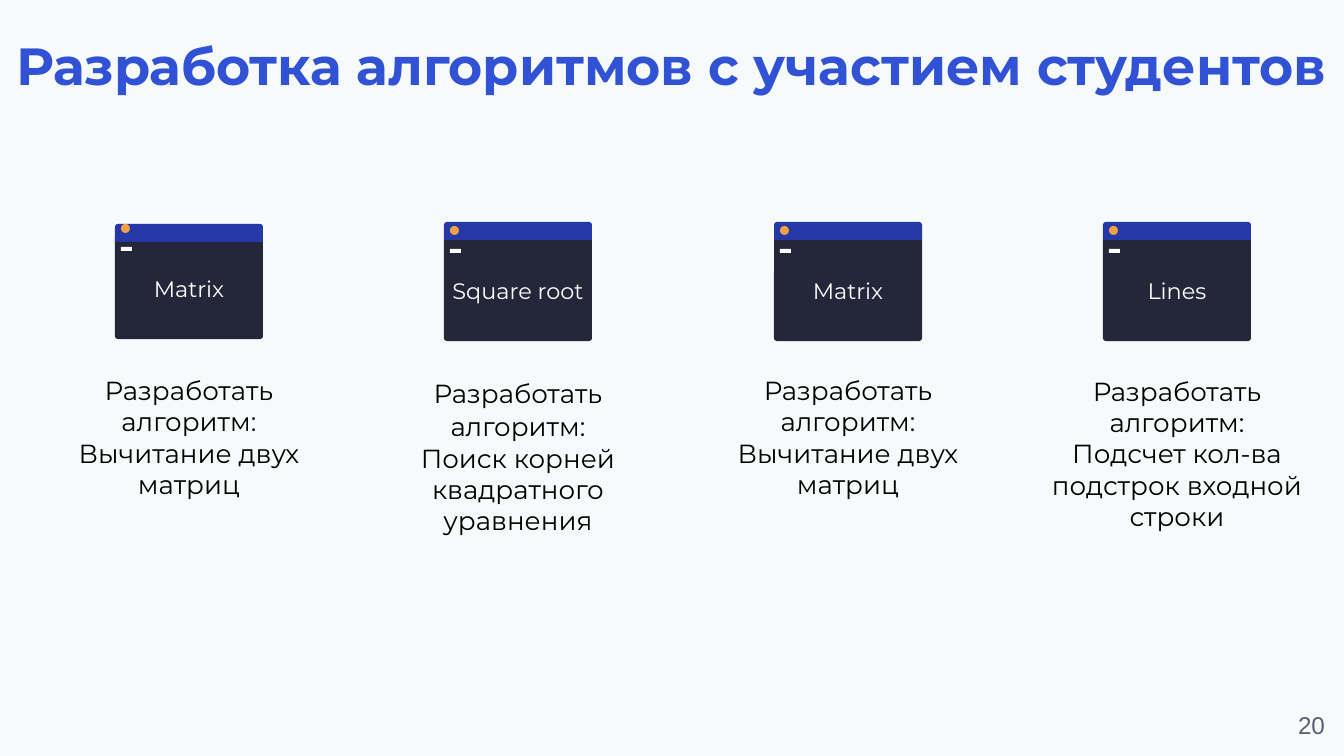
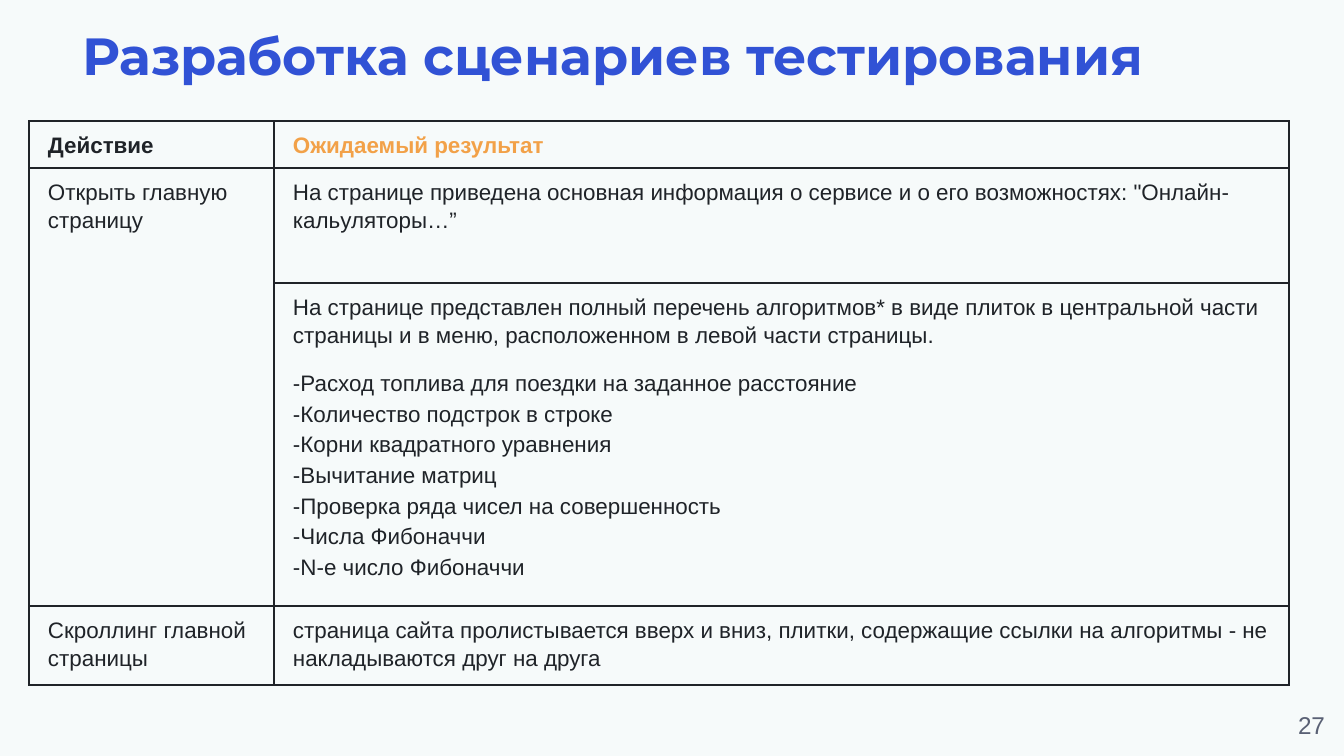
from copy import deepcopy
from dataclasses import dataclass

from lxml.etree import SubElement
from pptx import Presentation
from pptx.dml.color import RGBColor
from pptx.enum.shapes import MSO_SHAPE
from pptx.enum.text import MSO_ANCHOR, MSO_AUTO_SIZE, PP_ALIGN
from pptx.oxml.ns import qn
from pptx.util import Emu, Pt


@dataclass(frozen=True)
class Theme:
    background: str = "F6FAFA"
    title: str = "3152D5"
    window: str = "24263A"
    window_bar: str = "2638A6"
    accent: str = "F2A148"
    light: str = "FFFFFF"
    caption: str = "000000"
    table: str = "1F2328"
    number: str = "596074"
    display_font: str = "Montserrat"
    text_font: str = "Arial"
    title_size: int = 28
    caption_size: int = 14
    label_size: int = 12
    table_size: int = 12
    number_size: int = 13
    border_width: float = 0.75


THEME = Theme()

# Content
ALGORITHMS = {
    "title": "Разработка алгоритмов с участием студентов",
    "title_box": (8, 30, 1326, 69),
    "align": PP_ALIGN.CENTER,
    "number": "20",
}
# label, bar top, body top, caption runs, caption (top, width, height)
WINDOWS = [
    ("Matrix", 224, 238, ["Разработать алгоритм:\nВычитание двух матриц"],
     (371, 306, 132)),
    ("Square root", 222, 240,
     ["Разработать", " ", "алгоритм:\nПоиск корней квадратного уравнения"],
     (367, 321, 172)),
    ("Matrix", 222, 240, ["Разработать алгоритм: Вычитание двух матриц"],
     (371, 286, 132)),
    ("Lines", 222, 240,
     ["Разработать алгоритм:\nПодсчет кол-ва подстрок входной строки"],
     (371, 261, 164)),
]
SCENARIOS = {
    "title": "Разработка сценариев тестирования",
    "title_box": (78, 20, 1188, 69),
    "align": PP_ALIGN.LEFT,
    "number": "27",
}
ROWS = [
    (["Действие"], ["Ожидаемый результат"]),
    (["Открыть главную страницу"],
     ["На странице приведена основная информация о сервисе и о его "
      "возможностях: \"Онлайн-кальуляторы…”"]),
    ([],
     ["На странице представлен полный перечень алгоритмов* в виде плиток в "
      "центральной части страницы и в меню, расположенном в левой части страницы.",
      "-Расход топлива для поездки на заданное расстояние",
      "-Количество подстрок в строке",
      "-Корни квадратного уравнения",
      "-Вычитание матриц",
      "-Проверка ряда чисел на совершенность",
      "-Числа Фибоначчи",
      "-N-е число Фибоначчи"]),
    (["Скроллинг главной страницы"],
     ["страница сайта пролистывается вверх и вниз, плитки, содержащие ссылки "
      "на алгоритмы - не накладываются друг на друга"]),
]

# Layout, in px
SLIDE_SIZE = (1344, 756)
NUMBER_BOX = (1258, 697, 80, 58)
FIRST_WINDOW, LAST_WINDOW = 115, 1103
WINDOW_WIDTH, BODY_HEIGHT, BAR_HEIGHT, CORNER = 148, 101, 18, 3
TABLE_AT = (29, 121)
COLUMN_WIDTHS = (245, 1015)
ROW_HEIGHTS = (47, 115, 323, 79)
TIGHT, ROOMY, CELL = (5, 3), (13, 13), (19, 8)


def px(value):
    return Emu(round(value * 914400 / 134.4))


def box(*values):
    return [px(value) for value in values]


def assign(target, values):
    for name, value in values.items():
        setattr(target, name, value)


def margins(inset):
    across, down = box(*inset)
    return {"margin_left": across, "margin_right": across,
            "margin_top": down, "margin_bottom": down}


def style(font, name, size, color, bold=False):
    assign(font, {"name": name, "size": Pt(size), "bold": bold})
    font.color.rgb = RGBColor.from_string(color)


def set_frame(shape, inset, anchor, auto_size):
    assign(shape.text_frame, {
        **margins(inset), "word_wrap": True,
        "vertical_anchor": anchor, "auto_size": auto_size})
    return shape.text_frame.paragraphs[0]


def add_text(paragraph, text, *font):
    """Add runs in one format, with a line break at each newline."""
    for index, line in enumerate(text.split("\n")):
        if index:
            paragraph.add_line_break()
        run = paragraph.add_run()
        run.text = line
        style(run.font, *font)
    for line_break in paragraph._p.findall(qn("a:br")):
        line_break.insert(0, deepcopy(run._r.rPr))


def add_box(shapes, place, inset=TIGHT, anchor=MSO_ANCHOR.TOP,
            align=PP_ALIGN.CENTER, auto_size=MSO_AUTO_SIZE.SHAPE_TO_FIT_TEXT):
    paragraph = set_frame(shapes.add_textbox(*box(*place)), inset, anchor, auto_size)
    paragraph.alignment = align
    return paragraph


def add_slide(presentation, content):
    """Add a slide with the shared title and page number."""
    slide = presentation.slides.add_slide(presentation.slide_layouts[5])
    title = slide.shapes.title
    assign(title, dict(zip(("left", "top", "width", "height"),
                           box(*content["title_box"]))))
    paragraph = set_frame(title, TIGHT, MSO_ANCHOR.BOTTOM,
                          MSO_AUTO_SIZE.SHAPE_TO_FIT_TEXT)
    paragraph.alignment = content["align"]
    add_text(paragraph, content["title"], THEME.display_font, THEME.title_size,
             THEME.title, True)
    number = add_box(slide.shapes, NUMBER_BOX, ROOMY, align=PP_ALIGN.RIGHT,
                     auto_size=MSO_AUTO_SIZE.NONE)
    add_text(number, content["number"], THEME.text_font, THEME.number_size,
             THEME.number)
    return slide


def add_window(slide, left, label, bar_top, body_top):
    shapes = slide.shapes.add_group_shape().shapes
    rounded = MSO_SHAPE.ROUND_2_SAME_RECTANGLE
    parts = [
        (rounded, (left, body_top, WINDOW_WIDTH, BODY_HEIGHT), THEME.window,
         (0, CORNER / BODY_HEIGHT)),
        (rounded, (left, bar_top, WINDOW_WIDTH, BAR_HEIGHT), THEME.window_bar,
         (CORNER / BAR_HEIGHT, 0)),
        (MSO_SHAPE.OVAL, (left + 6, body_top - 14, 9, 9), THEME.accent, ()),
        (MSO_SHAPE.RECTANGLE, (left + 6, body_top + 9, 11, 4), THEME.light, ()),
    ]
    for kind, place, color, corners in parts:
        shape = shapes.add_shape(kind, *box(*place))
        shape.shadow.inherit = False
        shape.fill.solid()
        shape.fill.fore_color.rgb = RGBColor.from_string(color)
        shape.line.fill.background()
        for index, corner in enumerate(corners):
            shape.adjustments[index] = corner
    paragraph = add_box(shapes, (left, body_top + 34, WINDOW_WIDTH, 32))
    add_text(paragraph, label, THEME.display_font, THEME.label_size, THEME.light)


def build_algorithms(presentation):
    slide = add_slide(presentation, ALGORITHMS)
    step = (LAST_WINDOW - FIRST_WINDOW) / (len(WINDOWS) - 1)
    for index, (label, bar_top, body_top, runs, caption) in enumerate(WINDOWS):
        left = round(FIRST_WINDOW + index * step)
        add_window(slide, left, label, bar_top, body_top)
        top, width, height = caption
        caption_left = left + (WINDOW_WIDTH - width) / 2
        paragraph = add_box(slide.shapes, (caption_left, top, width, height),
                            anchor=MSO_ANCHOR.BOTTOM)
        for text in runs:
            font = ((THEME.text_font, 18) if text == " "
                    else (THEME.display_font, THEME.caption_size))
            add_text(paragraph, text, *font, THEME.caption)


def set_borders(cell):
    properties = cell._tc.get_or_add_tcPr()
    for side in ("a:lnL", "a:lnR", "a:lnT", "a:lnB"):
        line = SubElement(properties, qn(side), w=str(Pt(THEME.border_width)))
        fill = SubElement(line, qn("a:solidFill"))
        SubElement(fill, qn("a:srgbClr"), val=THEME.table)


def fill_cell(cell, lines, color, bold):
    set_borders(cell)
    cell.fill.background()
    assign(cell, {**margins(CELL), "vertical_anchor": MSO_ANCHOR.TOP})
    for index, text in enumerate(lines):
        frame = cell.text_frame
        paragraph = frame.add_paragraph() if index else frame.paragraphs[0]
        if index:
            paragraph.space_before = Pt(12 if index == 1 else 3)
            if index == len(lines) - 1:
                paragraph.space_after = Pt(3)
        else:
            paragraph.line_spacing = 1.15
        add_text(paragraph, text, THEME.text_font, THEME.table_size, color, bold)


def build_scenarios(presentation):
    slide = add_slide(presentation, SCENARIOS)
    size = (sum(COLUMN_WIDTHS), sum(ROW_HEIGHTS))
    table = slide.shapes.add_table(len(ROWS), len(COLUMN_WIDTHS),
                                   *box(*TABLE_AT, *size)).table
    assign(table, {"first_row": False, "horz_banding": False})
    for column, width in zip(table.columns, COLUMN_WIDTHS):
        column.width = px(width)
    for row, height in zip(table.rows, ROW_HEIGHTS):
        row.height = px(height)
    for row_index, row in enumerate(ROWS):
        header = row_index == 0
        for column_index, lines in enumerate(row):
            color = THEME.accent if header and column_index else THEME.table
            fill_cell(table.cell(row_index, column_index), lines, color, header)
    table.cell(1, 0).merge(table.cell(2, 0))


def main():
    presentation = Presentation()
    presentation.slide_width, presentation.slide_height = box(*SLIDE_SIZE)
    background = presentation.slide_master.background.fill
    background.solid()
    background.fore_color.rgb = RGBColor.from_string(THEME.background)
    build_algorithms(presentation)
    build_scenarios(presentation)
    presentation.save("out.pptx")


if __name__ == "__main__":
    main()
